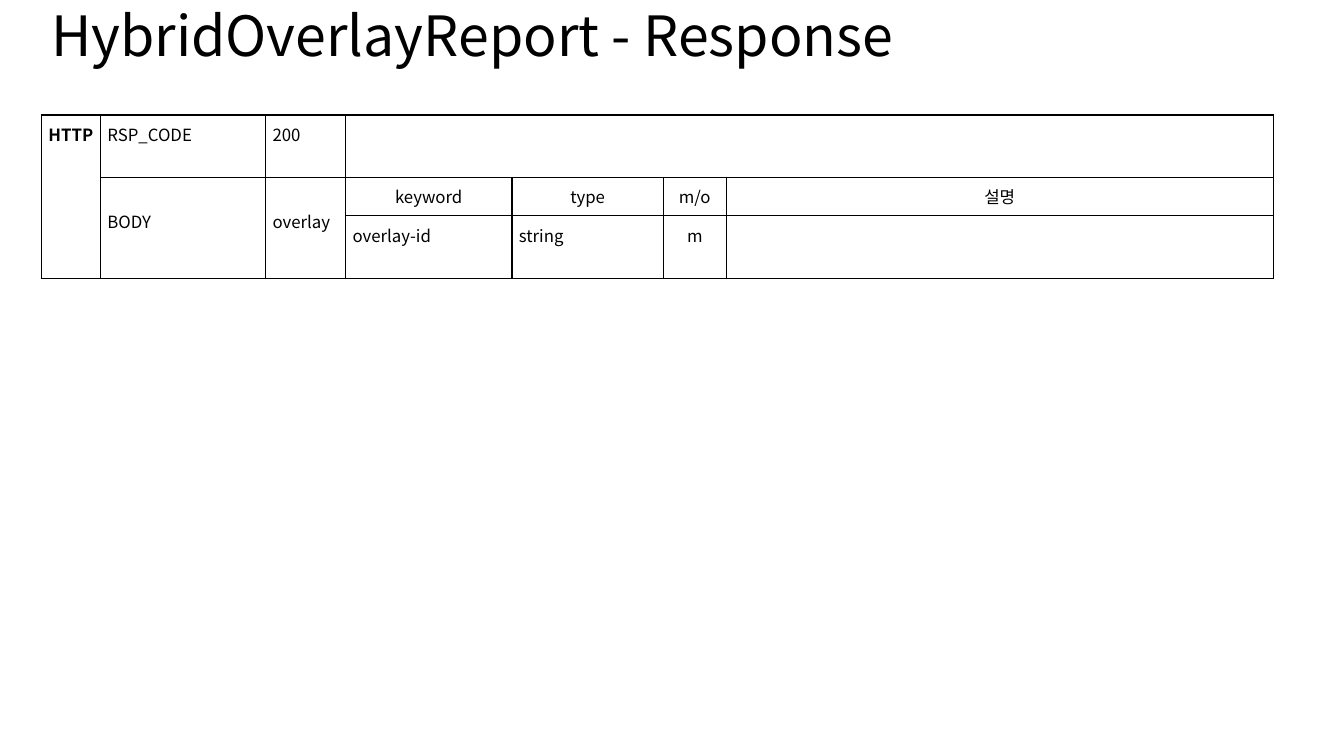
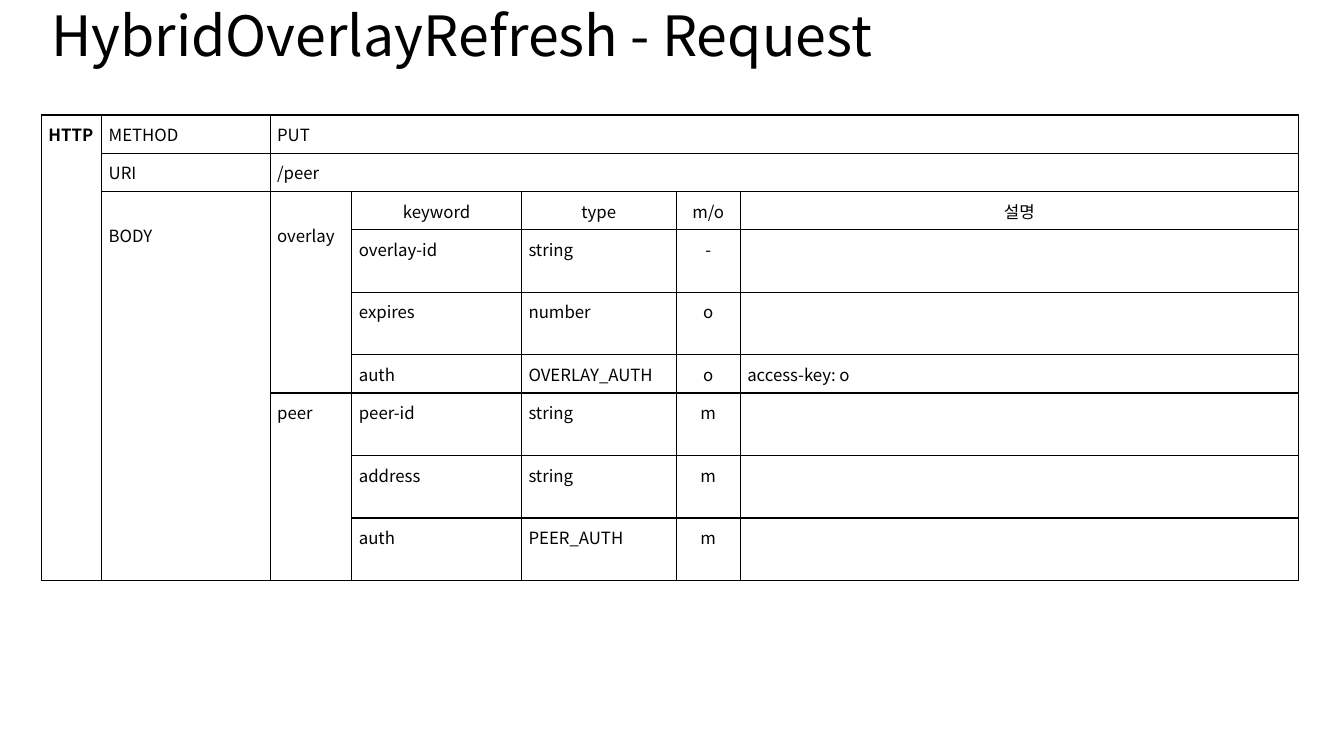
import pptx
import pptx.dml.color
import pptx.enum.text
import pptx.oxml.ns
import pptx.util
from lxml import etree

Inches = pptx.util.Inches
Pt = pptx.util.Pt
qn = pptx.oxml.ns.qn
ALIGN = pptx.enum.text.PP_ALIGN
ANCHOR = pptx.enum.text.MSO_ANCHOR

BLACK = pptx.dml.color.RGBColor(0, 0, 0)
FONT = "Noto Sans CJK KR"
SLIDE_W, SLIDE_H = Inches(13.33), Inches(7.5)
LEFT, TITLE_TOP, TABLE_TOP = Inches(0.41), Inches(0.02), Inches(1.14)
TITLE_W, TITLE_H = Inches(12.47), Inches(0.72)
COL_SHARES = (0.048, 0.134, 0.065, 0.135, 0.123, 0.051, 0.444)
SHORT, TALL = Inches(0.38), Inches(0.62)
PAD, LINE_H = Inches(0.07), Inches(0.24)

TITLE_FONT = {"size": Pt(39.6), "name": FONT, "bold": False}
CELL_FONT = {"size": Pt(12), "name": FONT, "bold": False}
HEAD_FONT = {**CELL_FONT, "bold": True}
TITLE_FRAME = {"word_wrap": True, "vertical_anchor": ANCHOR.MIDDLE,
               "margin_top": 0, "margin_bottom": 0}
CELL_FORMAT = {"margin_left": PAD, "margin_right": PAD, "margin_top": PAD,
               "margin_bottom": PAD, "vertical_anchor": ANCHOR.TOP}
PLAIN_TABLE = {"first_row": False, "horz_banding": False}

FIELD_HEADS = ("keyword", "type", "m/o", "설명")
MO_COL = 5
LOWERED = ("BODY", "overlay")

RESPONSE_ROWS = (
    (TALL, ("HTTP", "RSP_CODE", "200", "", "", "", "")),
    (SHORT, ("", "BODY", "overlay", *FIELD_HEADS)),
    (TALL, ("", "", "", "overlay-id", "string", "m", "")),
)
RESPONSE_SPANS = ((0, 0, 2, 0), (0, 3, 0, 6), (1, 1, 2, 1), (1, 2, 2, 2))

REQUEST_ROWS = (
    (SHORT, ("HTTP", "METHOD", "PUT", "", "", "", "")),
    (SHORT, ("", "URI", "/peer", "", "", "", "")),
    (SHORT, ("", "BODY", "overlay", *FIELD_HEADS)),
    (TALL, ("", "", "", "overlay-id", "string", "-", "")),
    (TALL, ("", "", "", "expires", "number", "o", "")),
    (SHORT, ("", "", "", "auth", "OVERLAY_AUTH", "o", "access-key: o")),
    (TALL, ("", "", "peer", "peer-id", "string", "m", "")),
    (TALL, ("", "", "", "address", "string", "m", "")),
    (TALL, ("", "", "", "auth", "PEER_AUTH", "m", "")),
)
REQUEST_SPANS = ((0, 0, 8, 0), (0, 2, 0, 6), (1, 2, 1, 6),
                 (2, 1, 8, 1), (2, 2, 5, 2), (6, 2, 8, 2))


def apply(obj, values):
    for name, value in values.items():
        setattr(obj, name, value)


def write(p, text, font):
    if not text:
        etree.SubElement(p._p, qn("a:endParaRPr"), sz=str(int(font["size"].pt * 100)))
        return
    r = p.add_run()
    r.text = text
    apply(r.font, font)
    r.font.color.rgb = BLACK
    etree.SubElement(r._r.get_or_add_rPr(), qn("a:ea"), typeface=FONT)


def add_title(s, text):
    tf = s.shapes.add_textbox(LEFT, TITLE_TOP, TITLE_W, TITLE_H).text_frame
    apply(tf, TITLE_FRAME)
    p = tf.paragraphs[0]
    p.line_spacing = 0.9
    write(p, text, TITLE_FONT)


def add_borders(cell):
    tc_pr = cell._tc.get_or_add_tcPr()
    for i, side in enumerate(("lnL", "lnR", "lnT", "lnB")):
        ln = etree.Element(qn(f"a:{side}"), w=str(Pt(1)))
        fill = etree.SubElement(ln, qn("a:solidFill"))
        etree.SubElement(fill, qn("a:srgbClr"), val=str(BLACK))
        tc_pr.insert(i, ln)


def fill_cell(cell, text, col):
    apply(cell, CELL_FORMAT)
    if text in LOWERED:
        cell.margin_top = PAD + LINE_H
    cell.fill.background()
    add_borders(cell)
    p = cell.text_frame.paragraphs[0]
    if col == MO_COL or text in FIELD_HEADS:
        p.alignment = ALIGN.CENTER
    write(p, text, HEAD_FONT if text == "HTTP" else CELL_FONT)


def add_field_table(s, width, rows, spans):
    height = sum(h for h, _ in rows)
    table = s.shapes.add_table(len(rows), len(COL_SHARES), LEFT, TABLE_TOP,
                               width, height).table
    apply(table, PLAIN_TABLE)
    for column, share in zip(table.columns, COL_SHARES):
        column.width = int(width * share)
    for i, (row_h, texts) in enumerate(rows):
        table.rows[i].height = row_h
        for j, text in enumerate(texts):
            fill_cell(table.cell(i, j), text, j)
    for top, left, bottom, right in spans:
        table.cell(top, left).merge(table.cell(bottom, right))


def add_message_slide(prs, title, width, rows, spans):
    s = prs.slides.add_slide(prs.slide_layouts[6])
    add_title(s, title)
    add_field_table(s, width, rows, spans)


def main():
    prs = pptx.Presentation()
    apply(prs, {"slide_width": SLIDE_W, "slide_height": SLIDE_H})
    add_message_slide(prs, "HybridOverlayReport - Response", Inches(12.22),
                      RESPONSE_ROWS, RESPONSE_SPANS)
    add_message_slide(prs, "HybridOverlayRefresh - Request", TITLE_W,
                      REQUEST_ROWS, REQUEST_SPANS)
    prs.save("out.pptx")


if __name__ == "__main__":
    main()
